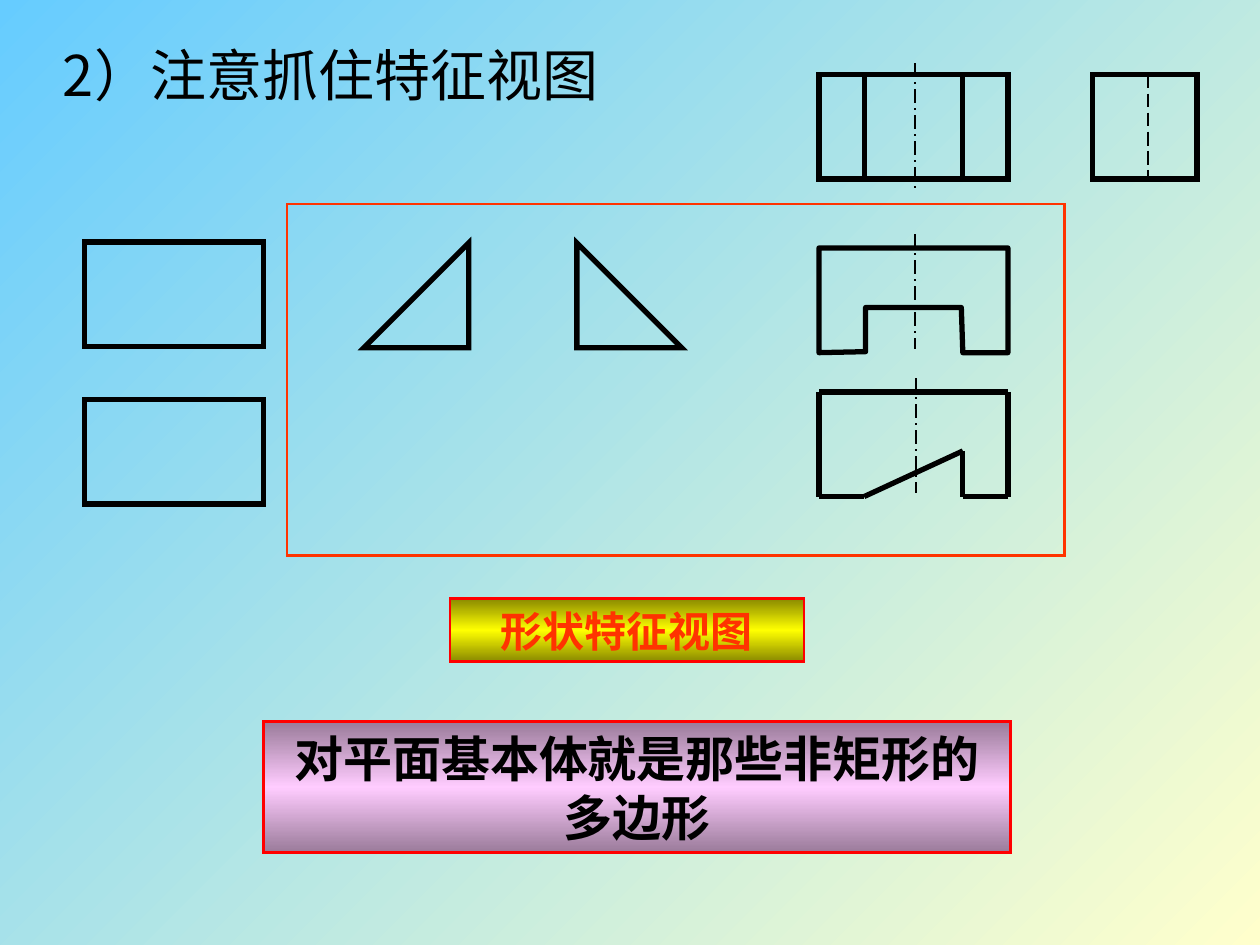
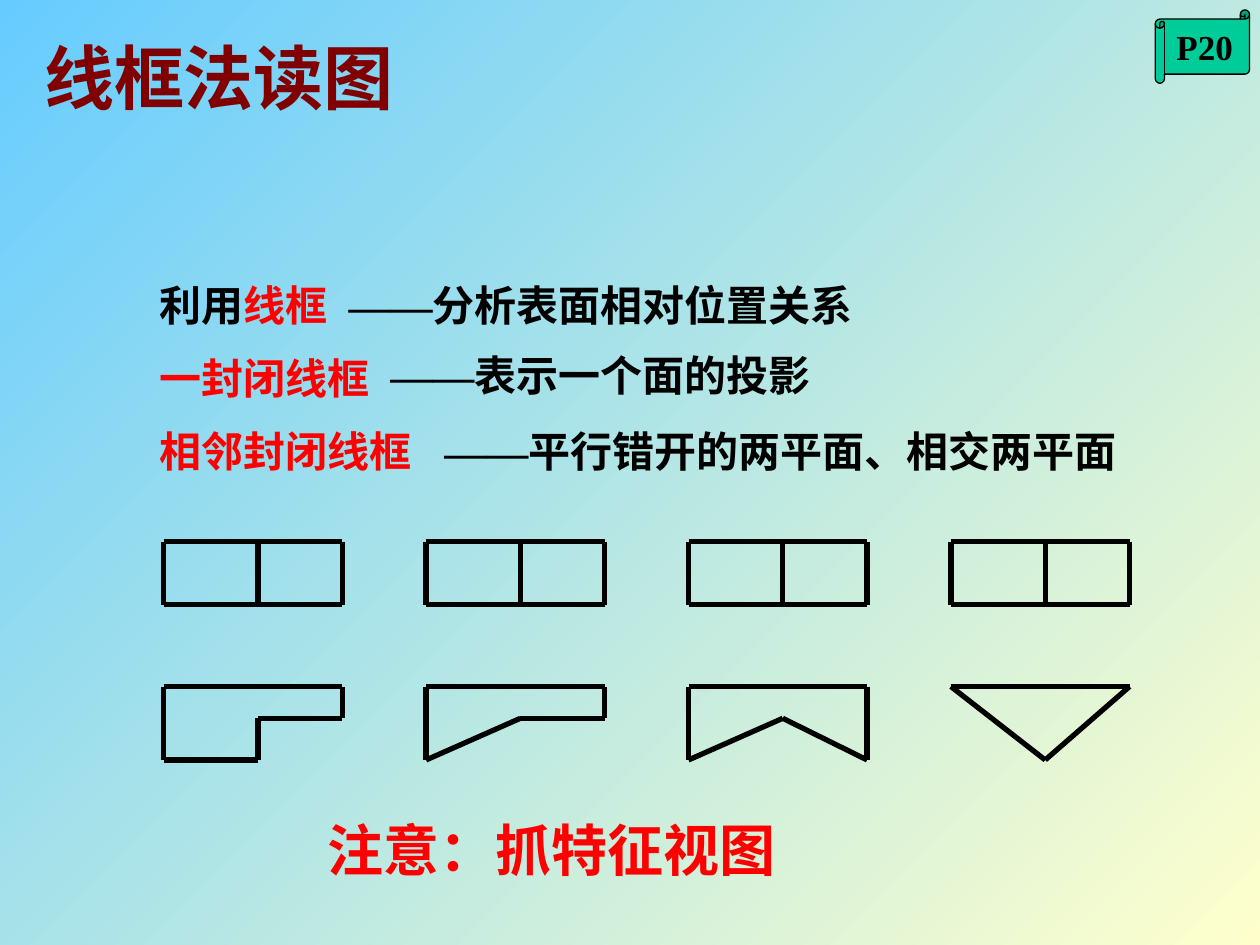
from copy import deepcopy

from lxml.etree import SubElement
from pptx import Presentation
from pptx.dml.color import RGBColor
from pptx.enum.dml import MSO_LINE
from pptx.enum.shapes import MSO_CONNECTOR, MSO_SHAPE
from pptx.enum.text import MSO_ANCHOR, MSO_AUTO_SIZE, PP_ALIGN
from pptx.oxml.ns import qn
from pptx.util import Cm, Pt

COLORS = {
    "sky": "66CCFF", "cream": "FFFFCC", "black": "000000", "red": "FF0000",
    "orange": "FF3300", "maroon": "800000", "green": "00CC99",
    "olive": "8A8A00", "yellow": "FFFF00", "mauve": "9A7B9A", "pink": "FFCCFF",
}
SANS, SERIF = "Noto Sans CJK SC", "Times New Roman"


class Deck:
    """Holds the shared style and the slide being drawn."""

    def __init__(self):
        self.prs = Presentation()
        self.prs.slide_width, self.prs.slide_height = Cm(25.4), Cm(19.05)
        self.slide = None

    def color(self, name):
        return RGBColor.from_string(COLORS[name])

    def new_slide(self):
        self.slide = self.prs.slides.add_slide(self.prs.slide_layouts[6])
        self.gradient(self.slide.background.fill, self.slide._element,
                      ["sky", "cream"], 45)

    def gradient(self, fill, element, names, clockwise):
        fill.gradient()
        fill.gradient_angle = 360 - clockwise
        stop_list = next(element.iter(qn("a:gsLst")))
        for _ in names[2:]:
            stop_list.append(deepcopy(stop_list[0]))
        for i, (stop, name) in enumerate(zip(fill.gradient_stops, names)):
            stop.color.rgb = self.color(name)
            stop.position = i / (len(names) - 1)

    def outline(self, line, color="black", width=3, dash=None):
        line.color.rgb = self.color(color)
        line.width = Pt(width)
        if dash is not None:
            line.dash_style = dash

    def shape(self, kind, x, y, w, h, fill=None, color="black", width=3):
        shape = self.slide.shapes.add_shape(kind, Cm(x), Cm(y), Cm(w), Cm(h))
        shape.shadow.inherit = False
        if fill is None:
            shape.fill.background()
        elif isinstance(fill, list):
            self.gradient(shape.fill, shape._element, fill, 90)
        else:
            shape.fill.solid()
            shape.fill.fore_color.rgb = self.color(fill)
        self.outline(shape.line, color, width)
        SubElement(shape._element.spPr.find(qn("a:ln")), qn("a:miter"), lim="800000")
        return shape

    def rect(self, *box, **style):
        return self.shape(MSO_SHAPE.RECTANGLE, *box, **style)

    def polygon(self, points):
        start, *rest = [(Cm(x), Cm(y)) for x, y in points]
        builder = self.slide.shapes.build_freeform(*start)
        builder.add_line_segments(rest, close=True)
        polygon = builder.convert_to_shape()
        polygon.shadow.inherit = False
        polygon.fill.background()
        self.outline(polygon.line)

    def line(self, start, end, **style):
        ends = [Cm(value) for value in (*start, *end)]
        line = self.slide.shapes.add_connector(MSO_CONNECTOR.STRAIGHT, *ends)
        self.outline(line.line, **style)
        SubElement(line._element.spPr, qn("a:effectLst"))

    def axis(self, x, top, bottom, dash=MSO_LINE.LONG_DASH_DOT):
        self.line((x, top), (x, bottom), width=1, dash=dash)

    def edges(self, points):
        for start, end in zip(points, points[1:] + points[:1]):
            self.line(start, end)

    def set_runs(self, shape, runs, size, align=PP_ALIGN.LEFT, **frame_format):
        """Each run is (text, colour, Latin font, East Asian font, bold)."""
        frame = shape.text_frame
        frame_format = {"word_wrap": True,
                        "auto_size": MSO_AUTO_SIZE.SHAPE_TO_FIT_TEXT,
                        **frame_format}
        for key, value in frame_format.items():
            setattr(frame, key, value)
        paragraph = frame.paragraphs[0]
        paragraph.alignment = align
        for text, color, latin, asian, bold in runs:
            part = paragraph.add_run()
            part.text = text
            for key, value in {"size": Pt(size), "bold": bold, "name": latin}.items():
                setattr(part.font, key, value)
            part.font.color.rgb = self.color(color)
            SubElement(part._r.get_or_add_rPr(), qn("a:ea"), typeface=asian)

    def text(self, x, y, w, h, runs, size):
        box = self.slide.shapes.add_textbox(Cm(x), Cm(y), Cm(w), Cm(h))
        self.set_runs(box, runs, size)

    def banner(self, box, label, size, fill):
        banner = self.rect(*box, fill=fill, color="red", width=1.5)
        self.set_runs(banner, [label], size, PP_ALIGN.CENTER,
                      vertical_anchor=MSO_ANCHOR.MIDDLE)


def styled(text, color="black", latin=SANS, asian=SANS, bold=True):
    return text, color, latin, asian, bold


def feature_view_slide(deck):
    deck.new_slide()
    deck.text(1.02, 0.69, 12.62, 1.63, [styled("2）注意抓住特征视图", bold=False)], 32)

    # Slotted block: side and front views
    left, right, slot_left, slot_right, height = 16.51, 20.32, 17.42, 19.41, 2.11
    top = 1.5
    deck.rect(22.02, top, 2.11, height)
    deck.axis(23.14, top, top + height, MSO_LINE.LONG_DASH)
    deck.rect(left, top, right - left, height)
    for x in (slot_left, slot_right):
        deck.line((x, top), (x, top + height))
    deck.axis(18.44, 1.27, 3.81)

    # Slotted block: two possible plan views
    top = 5.0
    bottom = top + height
    deck.polygon([(left, top), (right, top), (right, bottom), (slot_right, bottom),
                  (19.38, 6.2), (17.45, 6.2), (17.45, 7.09), (left, bottom)])
    deck.axis(18.44, 4.72, 7.04)
    top = 7.9
    bottom = top + height
    deck.edges([(left, top), (right, top), (right, bottom), (slot_right, bottom),
                (slot_right, 9.09), (slot_left, bottom), (left, bottom)])
    deck.axis(18.47, 7.62, 9.93)

    # Triangular prism views
    for y in (4.88, 8.05):
        deck.rect(1.7, y, 3.61, height)
    for x, flipped in ((7.34, True), (11.63, False)):
        triangle = deck.shape(MSO_SHAPE.RIGHT_TRIANGLE, x, 4.9, height, height)
        if flipped:
            triangle._element.spPr.find(qn("a:xfrm")).set("flipH", "1")

    # Frame around the feature views, and conclusions
    deck.rect(5.79, 4.11, 15.67, 7.09, color="orange", width=1.5)
    deck.banner((9.07, 12.07, 7.14, 1.27), styled("形状特征视图", "orange", SERIF),
                24, ["olive", "yellow", "olive"])
    deck.banner((5.31, 14.55, 15.06, 2.64), styled("对平面基本体就是那些非矩形的多边形"),
                28, ["mauve", "pink", "mauve"])


def wireframe_slide(deck):
    deck.new_slide()
    deck.text(0.64, 0.58, 22.43, 1.96, [styled("线框法读图", "maroon")], 40)

    # Terms and their meanings
    dash = styled("——", latin=SERIF, asian=SERIF)
    rows = [
        (5.51, 6.99, [styled("利用"), styled("线框", "red")],
         5.51, 6.78, 14.61, styled("分析表面相对位置关系")),
        (6.99, 5.54, [styled("一封闭线框", "red")],
         6.93, 7.62, 11.86, styled("表示一个面的投影")),
        (8.46, 5.72, [styled("相邻封闭线框", "red", SERIF)],
         8.46, 8.71, 15.39, styled("平行错开的两平面、相交两平面", latin=SERIF)),
    ]
    for term_y, term_w, term, meaning_y, meaning_x, meaning_w, meaning in rows:
        deck.text(2.97, term_y, term_w, 1.27, term, 24)
        deck.text(meaning_x, meaning_y, meaning_w, 1.27, [dash, meaning], 24)

    # Same front view above four different plan views
    width, split, step, depth = 3.6, 1.9, 0.64, 1.48
    plans = [
        [(width, step), (split, step), (split, depth), (0, depth)],
        [(width, step), (split, step), (0, depth)],
        [(width, depth), (split, step), (0, depth)],
        [(split, depth)],
    ]
    front_top, front_bottom, plan_top = 10.92, 12.19, 13.84
    for column, plan in enumerate(plans):
        x = 3.3 + 5.29 * column
        deck.edges([(x, front_top), (x + width, front_top),
                    (x + width, front_bottom), (x, front_bottom)])
        deck.line((x + split, front_top), (x + split, front_bottom))
        deck.edges([(x + dx, plan_top + dy)
                    for dx, dy in [(0, 0), (width, 0), *plan]])

    # Reminder and page scroll
    deck.text(6.35, 16.31, 12.07, 1.63, [styled("注意：抓特征视图", "red", SERIF)], 32)
    scroll = deck.shape(MSO_SHAPE.HORIZONTAL_SCROLL, 23.29, 0.2, 1.9, 1.48,
                        fill="green", width=0.75)
    deck.set_runs(scroll, [styled("P20", latin=SERIF)], 20, PP_ALIGN.CENTER,
                  word_wrap=False, auto_size=MSO_AUTO_SIZE.NONE,
                  vertical_anchor=MSO_ANCHOR.MIDDLE)


def main():
    deck = Deck()
    feature_view_slide(deck)
    wireframe_slide(deck)
    deck.prs.save("out.pptx")


if __name__ == "__main__":
    main()
